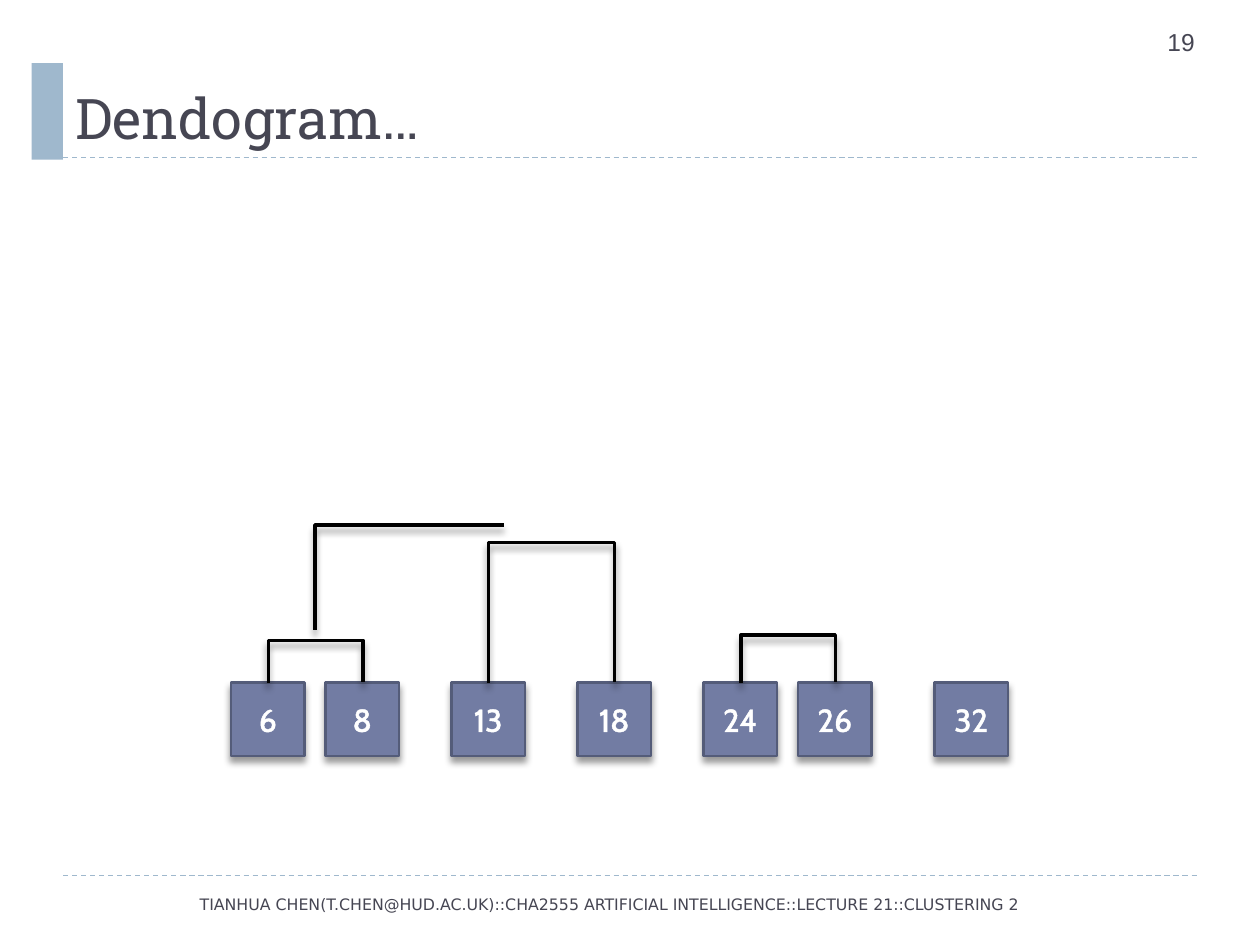
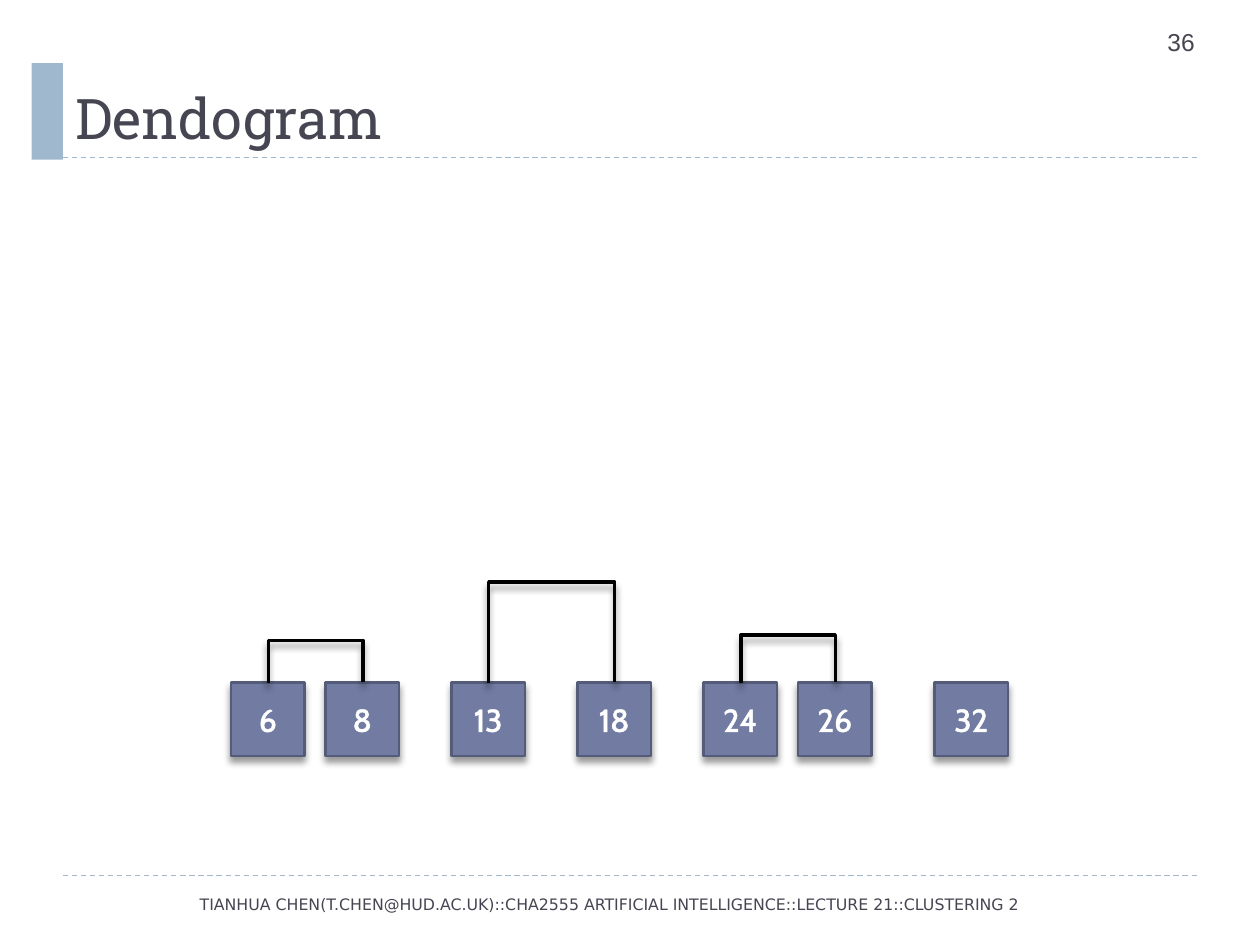
from dataclasses import dataclass

from pptx import Presentation
from pptx.dml.color import RGBColor
from pptx.enum.dml import MSO_LINE
from pptx.enum.shapes import MSO_CONNECTOR, MSO_SHAPE
from pptx.enum.text import MSO_ANCHOR, MSO_AUTO_SIZE, PP_ALIGN
from pptx.oxml.ns import qn
from pptx.shapes.autoshape import Shape
from pptx.shapes.connector import Connector
from pptx.slide import Slide
from pptx.util import Emu, Pt
from lxml.etree import SubElement

EMU_PER_PX = 7620

INK = RGBColor(0x46, 0x46, 0x53)
BAND = RGBColor(0x9F, 0xB8, 0xCD)
LEAF_FILL = RGBColor(0x72, 0x7C, 0xA3)
LEAF_EDGE = RGBColor(0x54, 0x5C, 0x79)
WHITE = RGBColor(0xFF, 0xFF, 0xFF)
BLACK = RGBColor(0x00, 0x00, 0x00)

FOOTER = (
    "TIANHUA CHEN(T.CHEN@HUD.AC.UK)::CHA2555 ARTIFICIAL INTELLIGENCE"
    "::LECTURE 21::CLUSTERING 2"
)
LEAF_TOP = 650
LEAF_SIZE = 70
LEAF_LEFTS = {6: 220, 8: 310, 13: 430, 18: 550, 24: 670, 26: 760, 32: 890}


@dataclass(frozen=True)
class Merge:
    first: int
    second: int
    rise: int


@dataclass(frozen=True)
class Branch:
    start: tuple[int, int]
    end: tuple[int, int]


@dataclass(frozen=True)
class Dendrogram:
    title: str
    number: int
    merges: tuple[Merge, ...]
    branches: tuple[Branch, ...] = ()


PAIRS = (Merge(6, 8, 41), Merge(24, 26, 46))
DENDROGRAMS = (
    Dendrogram(
        "Dendogram…",
        19,
        PAIRS + (Merge(13, 18, 135),),
        (Branch((480, 500), (300, 600)),),
    ),
    Dendrogram("Dendogram", 36, PAIRS + (Merge(13, 18, 97),)),
)


def px(length: int) -> Emu:
    return Emu(length * EMU_PER_PX)


def write_text(
    shape: Shape,
    text: str,
    *,
    font: str,
    size: int,
    color: RGBColor = INK,
    align: PP_ALIGN = PP_ALIGN.LEFT,
    anchor: MSO_ANCHOR = MSO_ANCHOR.TOP,
    outline: float = 0,
) -> None:
    frame = shape.text_frame
    frame.word_wrap = True
    frame.auto_size = MSO_AUTO_SIZE.NONE
    frame.vertical_anchor = anchor
    paragraph = frame.paragraphs[0]
    paragraph.alignment = align
    run = paragraph.add_run()
    run.text = text
    run.font.name = font
    run.font.size = Pt(size)
    run.font.color.rgb = color
    if outline:
        properties = run.font._element
        edge = SubElement(properties, qn("a:ln"), w=str(Pt(outline)))
        fill = SubElement(edge, qn("a:solidFill"))
        SubElement(fill, qn("a:srgbClr"), val=str(color))
        properties.insert(0, edge)


def set_effects(part: Shape | Connector, shadow_distance: float = 0) -> None:
    effects = SubElement(part._element.spPr, qn("a:effectLst"))
    if shadow_distance:
        shadow = SubElement(
            effects,
            qn("a:outerShdw"),
            blurRad=str(Pt(4)),
            dist=str(Pt(shadow_distance)),
            dir="5400000",
            rotWithShape="0",
        )
        tint = SubElement(shadow, qn("a:srgbClr"), val=str(BLACK))
        SubElement(tint, qn("a:alpha"), val="40000")


def add_textbox(slide: Slide, left: int, top: int, width: int, height: int) -> Shape:
    return slide.shapes.add_textbox(px(left), px(top), px(width), px(height))


def add_block(
    slide: Slide, left: int, top: int, width: int, height: int, fill: RGBColor
) -> Shape:
    block = slide.shapes.add_shape(
        MSO_SHAPE.RECTANGLE, px(left), px(top), px(width), px(height)
    )
    block.fill.solid()
    block.fill.fore_color.rgb = fill
    block.line.fill.background()
    return block


def add_elbow(
    slide: Slide, start: tuple[int, int], end: tuple[int, int], bend: float
) -> Connector:
    elbow = slide.shapes.add_connector(
        MSO_CONNECTOR.ELBOW, *map(px, start), *map(px, end)
    )
    elbow.line.color.rgb = BLACK
    elbow.line.width = Pt(2)
    set_effects(elbow, 3.4)
    guides = elbow._element.spPr.find(qn("a:prstGeom")).get_or_add_avLst()
    SubElement(guides, qn("a:gd"), name="adj1", fmla=f"val {round(bend * 100000)}")
    return elbow


def add_rule(slide: Slide, y: int) -> None:
    rule = slide.shapes.add_connector(
        MSO_CONNECTOR.STRAIGHT, px(60), px(y), px(1140), px(y)
    )
    rule.line.color.rgb = BAND
    rule.line.width = Pt(0.75)
    rule.line.dash_style = MSO_LINE.DASH
    set_effects(rule)


def add_frame(slide: Slide, title: str, number: int) -> None:
    for y in (834, 150):
        add_rule(slide, y)
    set_effects(add_block(slide, 30, 60, 30, 92, BAND))
    write_text(
        add_textbox(slide, 1100, 20, 100, 48), str(number), font="Arial", size=14
    )
    heading = slide.shapes.title
    heading.left, heading.top = px(60), px(20)
    heading.width, heading.height = px(1080), px(130)
    write_text(heading, title, font="Roboto Slab", size=32, anchor=MSO_ANCHOR.BOTTOM)
    write_text(
        add_textbox(slide, 24, 835, 1112, 53),
        FOOTER,
        font="DejaVu Sans",
        size=9,
        align=PP_ALIGN.CENTER,
        anchor=MSO_ANCHOR.MIDDLE,
    )


def add_leaf(slide: Slide, value: int, left: int) -> None:
    leaf = add_block(slide, left, LEAF_TOP, LEAF_SIZE, LEAF_SIZE, LEAF_FILL)
    leaf.line.color.rgb = LEAF_EDGE
    leaf.line.width = Pt(1.5)
    set_effects(leaf, 3)
    write_text(
        leaf,
        str(value),
        font="Cabin",
        size=18,
        color=WHITE,
        align=PP_ALIGN.CENTER,
        anchor=MSO_ANCHOR.MIDDLE,
        outline=1.45,
    )


def add_merge(slide: Slide, merge: Merge) -> None:
    first, second = LEAF_LEFTS[merge.first], LEAF_LEFTS[merge.second]
    middle = (first + second + LEAF_SIZE) // 2
    half_span = (second - first) // 2
    bracket = add_elbow(
        slide,
        (middle + 1, LEAF_TOP + half_span),
        (middle, LEAF_TOP - half_span),
        merge.rise,
    )
    bracket._element.spPr.xfrm.set("rot", "5400000")


def add_dendrogram(presentation: Presentation, dendrogram: Dendrogram) -> None:
    slide = presentation.slides.add_slide(presentation.slide_layouts[5])
    add_frame(slide, dendrogram.title, dendrogram.number)
    for value, left in LEAF_LEFTS.items():
        add_leaf(slide, value, left)
    for merge in dendrogram.merges:
        add_merge(slide, merge)
    for branch in dendrogram.branches:
        add_elbow(slide, branch.start, branch.end, 1)


def main() -> None:
    presentation = Presentation()
    presentation.slide_width, presentation.slide_height = px(1200), px(900)
    for dendrogram in DENDROGRAMS:
        add_dendrogram(presentation, dendrogram)
    presentation.save("out.pptx")


if __name__ == "__main__":
    main()
